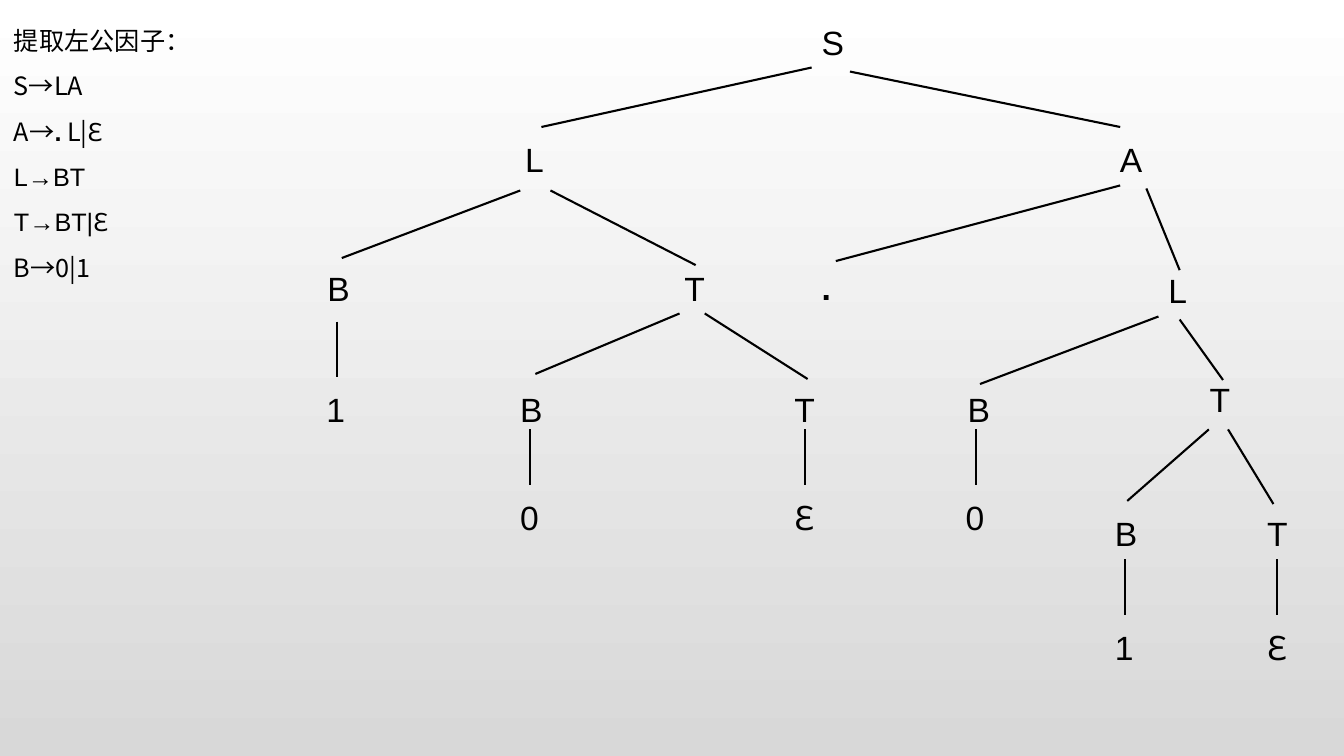
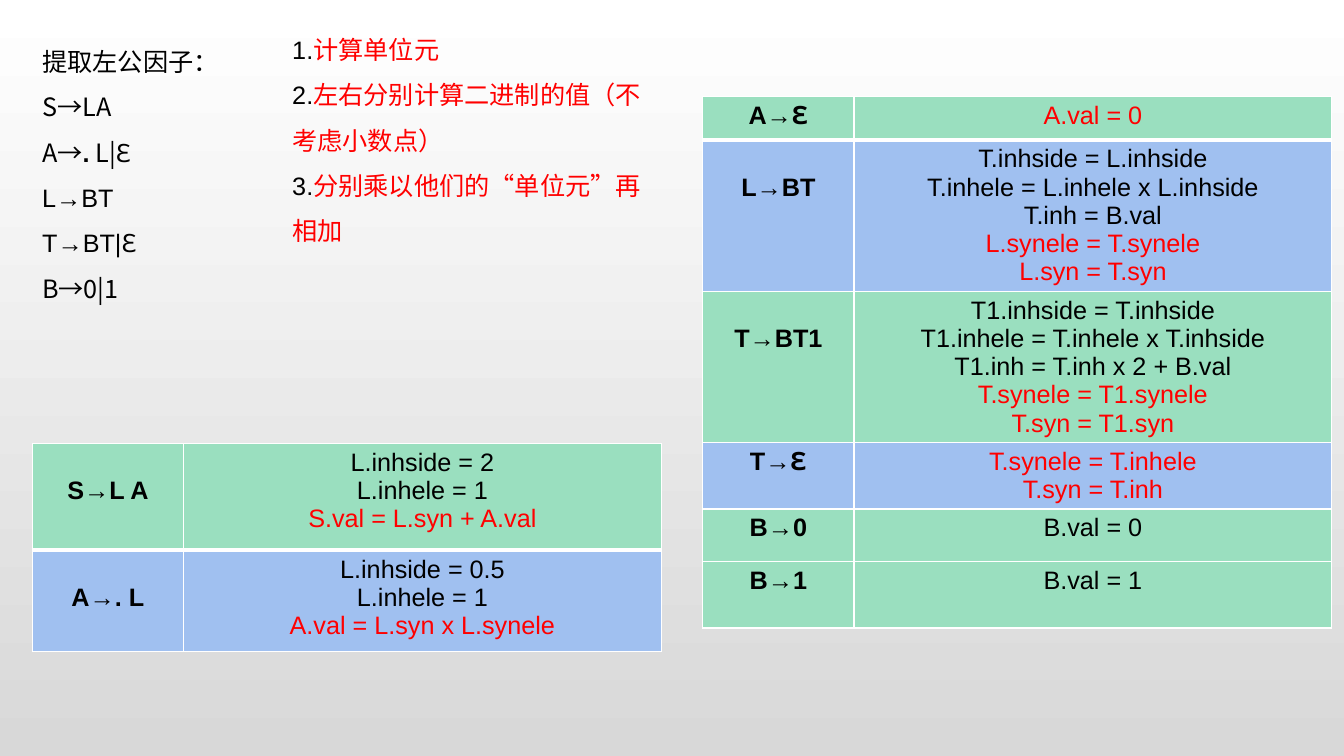
from lxml import etree
from pptx import Presentation
from pptx.dml.color import RGBColor
from pptx.enum.shapes import MSO_CONNECTOR
from pptx.enum.text import MSO_AUTO_SIZE, PP_ALIGN
from pptx.oxml.ns import qn
from pptx.util import Inches, Pt

STRAIGHT = MSO_CONNECTOR.STRAIGHT
CENTER = PP_ALIGN.CENTER
FIT_SHAPE = MSO_AUTO_SIZE.SHAPE_TO_FIT_TEXT

COLORS = {
    "black": "000000",
    "red": "FF0000",
    "white": "FFFFFF",
    "gray": "D8D8D8",
    "green": "9ADFBF",
    "blue": "A0C0F0",
}
LATIN, CJK = "Arial", "Noto Sans CJK SC"
NODE_W, NODE_H = 0.4, 0.5

# Each paragraph is a list of runs: (text, run options)
GRAMMAR = [
    [("提取左公因子：", {})],
    [("S→LA", {"font": CJK})],
    [("A→", {"font": CJK}), (".", {"bold": True}), (" L|ℇ", {"font": CJK})],
    [("L→BT", {})],
    [("T→BT|", {}), ("ℇ", {"font": CJK})],
    [("B→0|1", {"font": CJK})],
]

STEPS = ["计算单位元", "左右分别计算二进制的值（不考虑小数点）", "分别乘以他们的“单位元”再相加"]

# Inner nodes of the parse tree: (symbol, left, top)
NODES = [
    ("S", 8.05, 0.17),
    ("L", 5.11, 1.33), ("A", 11.01, 1.33),
    ("B", 3.15, 2.61), ("T", 6.69, 2.61), (".", 8.05, 2.6), ("L", 11.49, 2.63),
    ("B", 5.06, 3.81), ("T", 7.78, 3.81), ("B", 9.5, 3.81), ("T", 11.9, 3.71),
    ("B", 10.96, 5.04), ("T", 12.47, 5.04),
]
BRANCHES = [
    (8.05, 0.67, 5.37, 1.26), (8.43, 0.71, 11.11, 1.26),
    (5.16, 1.89, 3.39, 2.56), (5.46, 1.89, 6.9, 2.63),
    (11.11, 1.84, 8.29, 2.59), (11.37, 1.87, 11.7, 2.68),
    (6.74, 3.11, 5.31, 3.71), (6.99, 3.11, 8.01, 3.76),
    (11.49, 3.14, 9.72, 3.81), (11.7, 3.17, 12.13, 3.77),
    (11.99, 4.26, 11.18, 4.97), (12.18, 4.26, 12.63, 5),
]
# Leaves: (symbol, left, top of the line above)
LEAVES = [
    ("1", 3.14, 3.19), ("0", 5.06, 4.26), ("ℇ", 7.78, 4.26),
    ("0", 9.48, 4.26), ("1", 10.96, 5.55), ("ℇ", 12.47, 5.55),
]

# Rules: (production, fill, row height, key one line down, black lines, red lines)
START_RULES = [
    ("S→L A", "green", 1.06, True,
     ["L.inhside = 2", "L.inhele = 1"], ["S.val = L.syn + A.val"]),
    ("A→. L", "blue", 1, True,
     ["L.inhside = 0.5", "L.inhele = 1"], ["A.val = L.syn x L.synele"]),
]
OTHER_RULES = [
    ("A→ℇ", "green", 0.43, False, [], ["A.val = 0"]),
    ("L→BT", "blue", 1.49, True,
     ["T.inhside = L.inhside", "T.inhele = L.inhele x L.inhside", "T.inh = B.val"],
     ["L.synele = T.synele", "L.syn = T.syn"]),
    ("T→BT1", "green", 1.49, True,
     ["T1.inhside = T.inhside", "T1.inhele = T.inhele x T.inhside",
      "T1.inh = T.inh x 2 + B.val"],
     ["T.synele = T1.synele", "T.syn = T1.syn"]),
    ("T→ℇ", "blue", 0.66, False, [], ["T.synele = T.inhele", "T.syn = T.inh"]),
    ("B→0", "green", 0.52, False, ["B.val = 0"], []),
    ("B→1", "green", 0.66, False, ["B.val = 1"], []),
]


def rgb(name):
    return RGBColor.from_string(COLORS[name])


class Deck:
    def __init__(self):
        self.prs = Presentation()
        self.prs.slide_width, self.prs.slide_height = Inches(13.33), Inches(7.5)
        fill = self.prs.slide_master.background.fill
        fill.gradient()
        fill.gradient_angle = 270
        for stop, color in zip(fill.gradient_stops, ("white", "gray")):
            stop.color.rgb = rgb(color)

    def slide(self):
        self.s = self.prs.slides.add_slide(self.prs.slide_layouts[6])

    def paragraphs(self, tf, paragraphs, size=18, spacing=None, align=None):
        for i, runs in enumerate(paragraphs):
            p = tf.add_paragraph() if i else tf.paragraphs[0]
            p.line_spacing, p.alignment = spacing, align
            for text, options in runs:
                self.run(p, text, size, **options)

    def run(self, p, text, size, font=LATIN, color="black", bold=False):
        r = p.add_run()
        r.text = text
        r.font.name, r.font.size, r.font.bold = font, Pt(size), bold
        r.font.color.rgb = rgb(color)
        ea = etree.Element(qn("a:ea"), typeface=CJK)
        r.font._element.find(qn("a:latin")).addnext(ea)

    def text(self, x, y, w, h, paragraphs, **style):
        sp = self.s.shapes.add_textbox(Inches(x), Inches(y), Inches(w), Inches(h))
        tf = sp.text_frame
        tf.word_wrap = True
        tf.auto_size = FIT_SHAPE
        self.paragraphs(tf, paragraphs, **style)

    def line(self, x1, y1, x2, y2):
        cxn = self.s.shapes.add_connector(
            STRAIGHT, Inches(x1), Inches(y1), Inches(x2), Inches(y2))
        cxn.line.color.rgb = rgb("black")
        cxn.line.width = Pt(1.5)
        etree.SubElement(cxn._element.spPr, qn("a:effectLst"))

    def node(self, symbol, x, y):
        options = {"font": CJK if symbol == "ℇ" else LATIN, "bold": symbol == "."}
        self.text(x, y, NODE_W, NODE_H, [[(symbol, options)]], size=24)

    def leaf(self, symbol, x, y):
        """Terminal symbol below a short vertical line that starts at y."""
        center = x + NODE_W / 2
        self.line(center, y, center, y + 0.55)
        self.node(symbol, x, y + 0.62)

    def grammar(self, x, y):
        self.text(x, y, 2.32, 2.83, GRAMMAR, spacing=1.5)

    def cell(self, cell, paragraphs, fill, bottom):
        cell.fill.solid()
        cell.fill.fore_color.rgb = rgb(fill)
        tcPr = cell._tc.get_or_add_tcPr()
        widths = {"a:lnL": 1, "a:lnR": 1, "a:lnT": 1, "a:lnB": bottom}
        for i, (tag, width) in enumerate(widths.items()):
            ln = etree.Element(qn(tag), w=str(Pt(width)))
            solid = etree.SubElement(ln, qn("a:solidFill"))
            etree.SubElement(solid, qn("a:srgbClr"), val=COLORS["white"])
            tcPr.insert(i, ln)
        self.paragraphs(cell.text_frame, paragraphs, align=CENTER)

    def rules(self, x, y, rules):
        """Table of productions and their semantic rules."""
        height = sum(rule[2] for rule in rules)
        table = self.s.shapes.add_table(
            len(rules), 2, Inches(x), Inches(y), Inches(6.24), Inches(height)).table
        for column, width in zip(table.columns, (1.5, 4.74)):
            column.width = Inches(width)
        for i, (key, fill, row_h, lowered, plain, red) in enumerate(rules):
            table.rows[i].height = Inches(row_h)
            bottom = 1 if i else 3
            key_cell, rule_cell = table.cell(i, 0), table.cell(i, 1)
            if lowered:
                key_cell.margin_top = Inches(0.33)
            lines = [[(t, {})] for t in plain] + [[(t, {"color": "red"})] for t in red]
            self.cell(key_cell, [[(key, {"bold": True})]], fill, bottom)
            self.cell(rule_cell, lines, fill, bottom)


def main():
    deck = Deck()

    deck.slide()
    deck.grammar(0.04, 0.05)
    for branch in BRANCHES:
        deck.line(*branch)
    for node in NODES:
        deck.node(*node)
    for leaf in LEAVES:
        deck.leaf(*leaf)

    deck.slide()
    deck.rules(0.32, 4.4, START_RULES)
    deck.rules(6.97, 0.96, OTHER_RULES)
    steps = [[(f"{n}.", {}), (step, {"color": "red"})] for n, step in enumerate(STEPS, 1)]
    deck.text(2.8, 0.14, 3.75, 2.37, steps, spacing=1.5)
    deck.grammar(0.32, 0.26)

    deck.prs.save("out.pptx")


if __name__ == "__main__":
    main()
